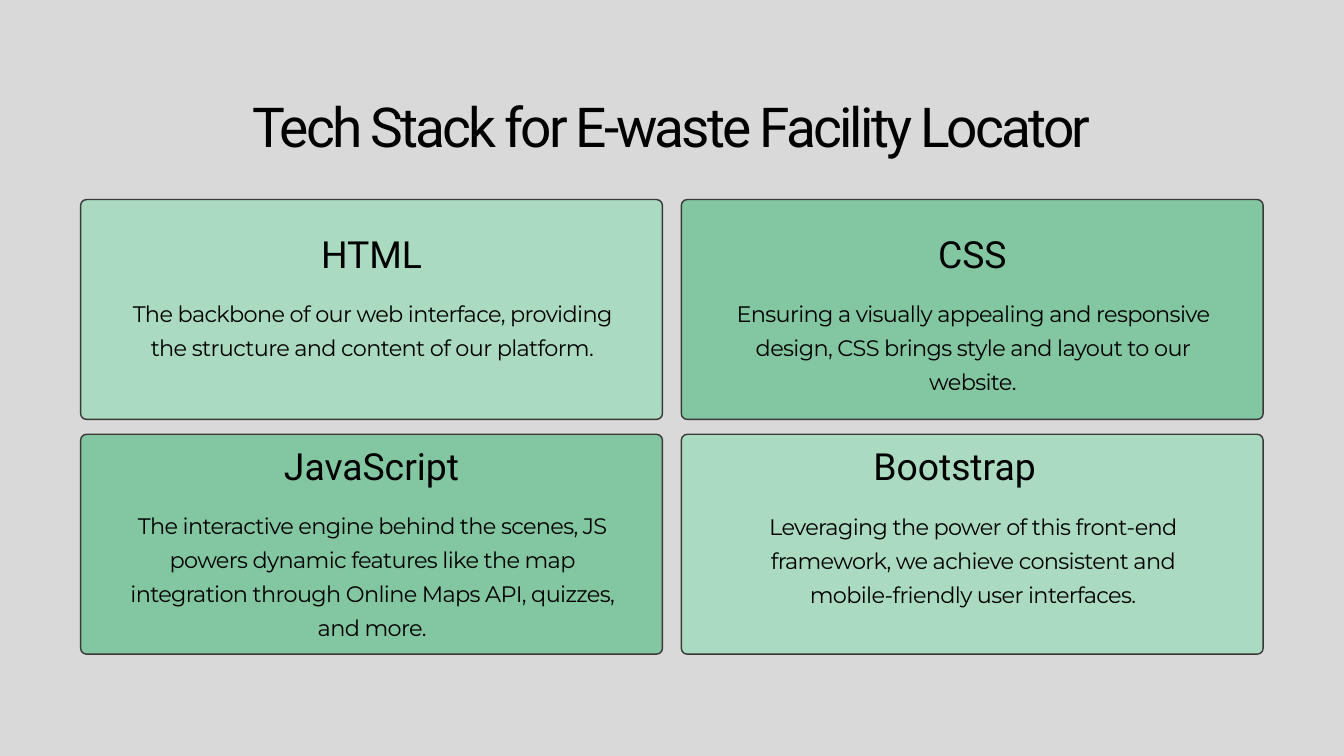
"""Build the tech stack slide: a title above a two-by-two grid of cards."""
from pptx import Presentation
from pptx.dml.color import RGBColor
from pptx.enum.shapes import MSO_SHAPE
from pptx.enum.text import MSO_ANCHOR, MSO_AUTO_SIZE, PP_ALIGN
from pptx.util import Pt

ROUNDED = MSO_SHAPE.ROUNDED_RECTANGLE
CENTER = PP_ALIGN.CENTER
TOP = MSO_ANCHOR.TOP
NO_AUTOFIT = MSO_AUTO_SIZE.NONE

COLORS = {
    "background": "D9D9D9",
    "light": "AADBC0",
    "dark": "83C6A2",
    "outline": "3A3937",
    "text": "000000",
}


def color(name):
    return RGBColor.from_string(COLORS[name])


def write(box, text, font, size, leading, tracking=0):
    frame = box.text_frame
    frame.word_wrap = True
    frame.auto_size = NO_AUTOFIT
    frame.vertical_anchor = TOP
    frame.margin_left = frame.margin_right = frame.margin_top = frame.margin_bottom = 0
    frame.text = text
    paragraph = frame.paragraphs[0]
    paragraph.alignment = CENTER
    paragraph.line_spacing = Pt(leading)
    run = paragraph.runs[0]
    run.font.name = font
    run.font.size = Pt(size)
    run.font.color.rgb = color("text")
    if tracking:
        run._r.get_or_add_rPr().set("spc", str(tracking))


CARD_LEFT, CARD_TOP = 86.4, 213.8
CARD_WIDTH, CARD_HEIGHT = 623.4, 235.6
COLUMN_STEP, ROW_STEP = 643.6, 251.5
CORNER_RADIUS = 6.3

CARDS = [
    ("HTML", 118.8, 252.7, 558.7, 313.9, "light",
     "The backbone of our web interface, providing the structure and content "
     "of our platform."),
    ("CSS", 762.5, 252.7, 558.7, 313.9, "dark",
     "Ensuring a visually appealing and responsive design, CSS brings style "
     "and layout to our website."),
    ("JavaScript", 118.8, 480.2, 558.7, 540.7, "dark",
     "The interactive engine behind the scenes, JS powers dynamic features "
     "like the map integration through Online Maps API, quizzes, and more."),
    ("Bootstrap", 724.3, 480.2, 596.9, 542.2, "light",
     "Leveraging the power of this front-end framework, we achieve consistent "
     "and mobile-friendly user interfaces."),
]

presentation = Presentation()
presentation.slide_width = Pt(1440)
presentation.slide_height = Pt(810)
slide = presentation.slides.add_slide(presentation.slide_layouts[5])
slide.background.fill.solid()
slide.background.fill.fore_color.rgb = color("background")

title = slide.shapes.title
title.left, title.top, title.width, title.height = Pt(83.5), Pt(105.8), Pt(1272), Pt(77.8)
write(title, "Tech Stack for E-waste Facility Locator", "Roboto", 59, 63.7, -310)

for index, (name, name_left, name_top, name_width, summary_top, tint, summary) in enumerate(CARDS):
    row, column = divmod(index, 2)
    card = slide.shapes.add_shape(
        ROUNDED, Pt(CARD_LEFT + column * COLUMN_STEP), Pt(CARD_TOP + row * ROW_STEP),
        Pt(CARD_WIDTH), Pt(CARD_HEIGHT))
    card.adjustments[0] = CORNER_RADIUS / CARD_HEIGHT
    card.shadow.inherit = False
    card.fill.solid()
    card.fill.fore_color.rgb = color(tint)
    card.line.color.rgb = color("outline")
    card.line.width = Pt(1.5)

    heading = slide.shapes.add_textbox(Pt(name_left), Pt(name_top), Pt(name_width), Pt(53.3))
    write(heading, name, "Roboto", 40, 42.8)

    description = slide.shapes.add_textbox(
        Pt(136 + column * COLUMN_STEP), Pt(summary_top), Pt(525.6), Pt(106))
    write(description, summary, "Montserrat", 24, 36.5, -70)

presentation.save("out.pptx")
